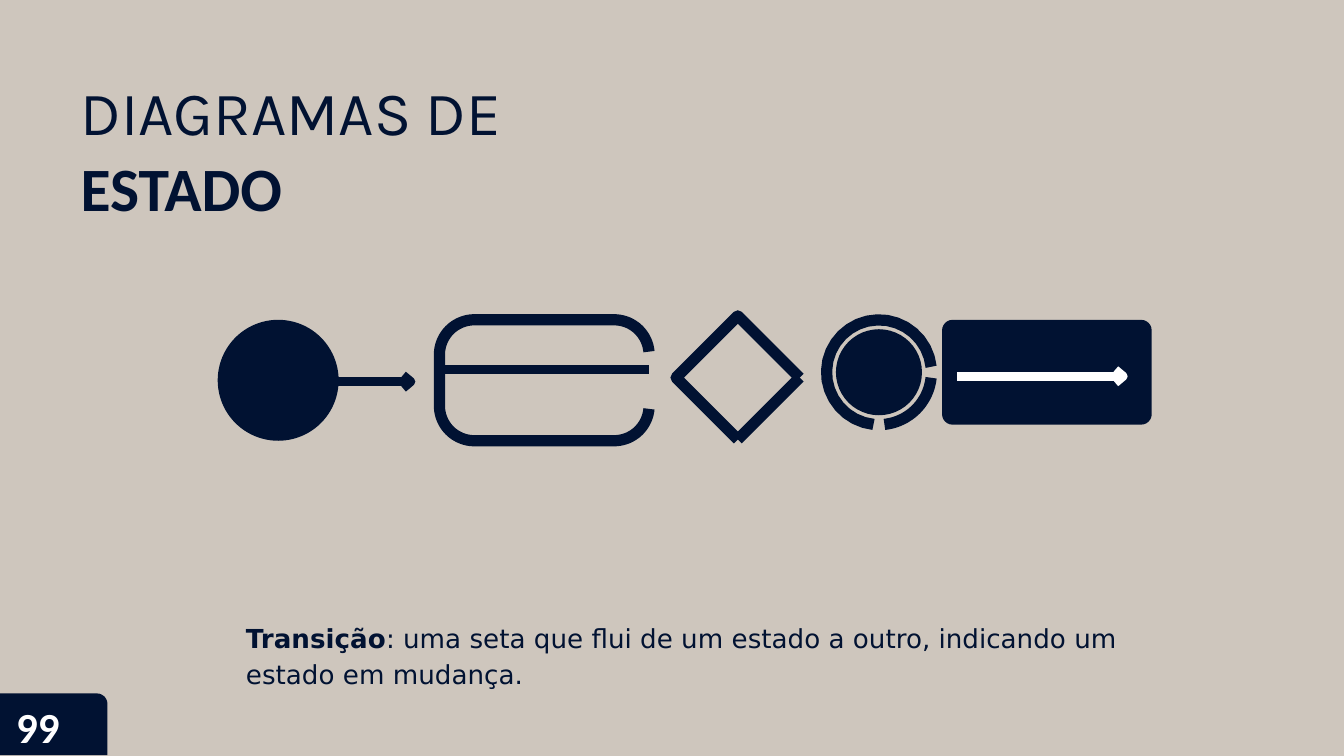
import math
from typing import NamedTuple

import pptx
import pptx.dml.color
import pptx.enum.shapes
import pptx.enum.text
import pptx.oxml.ns
import pptx.util
from lxml import etree

Inches = pptx.util.Inches
Kind = pptx.enum.shapes.MSO_SHAPE
HUES = {"navy": "011232", "sand": "CEC6BD", "white": "FFFFFF"}
THICK, THIN = 6, 4.5
Points = list[tuple[float, float]]


class Solid(NamedTuple):
    kind: int
    left: float
    top: float
    width: float
    height: float
    round: float | None = None


class Stroke(NamedTuple):
    left: float
    right: float
    y: float
    hue: str = "navy"
    arrow: bool = True


class Run(NamedTuple):
    text: str
    bold: bool = False


class Para(NamedTuple):
    runs: list[Run]
    font: str
    size: float
    hue: str = "navy"
    indent: float = 0.01
    before: float = 0
    lines: float = 1.0


def color(name: str) -> pptx.dml.color.RGBColor:
    return pptx.dml.color.RGBColor.from_string(HUES[name])


def add_solid(slide, part: Solid) -> None:
    shape = slide.shapes.add_shape(part.kind, *map(Inches, part[1:5]))
    shape.shadow.inherit = False
    shape.fill.solid()
    shape.fill.fore_color.rgb = color("navy")
    shape.line.fill.background()
    if part.round is not None:
        shape.adjustments[0] = part.round


def set_line(shape, hue: str, weight: float) -> None:
    shape.line.color.rgb = color(hue)
    shape.line.width = pptx.util.Pt(weight)


def add_path(slide, paths: list[Points], hue: str = "navy", weight: float = THICK) -> None:
    """Draw open outlines as one unfilled shape."""
    paths = [[(Inches(x), Inches(y)) for x, y in path] for path in paths]
    pen = slide.shapes.build_freeform(*paths[0][0])
    for i, path in enumerate(paths):
        if i:
            pen.move_to(*path[0])
        pen.add_line_segments(path[1:], close=False)
    shape = pen.convert_to_shape()
    shape.shadow.inherit = False
    shape.fill.background()
    set_line(shape, hue, weight)


def add_stroke(slide, part: Stroke) -> None:
    line = slide.shapes.add_connector(
        pptx.enum.shapes.MSO_CONNECTOR.STRAIGHT,
        *map(Inches, (part.left, part.y, part.right, part.y)))
    set_line(line, part.hue, THIN)
    etree.SubElement(line._element.spPr, pptx.oxml.ns.qn("a:effectLst"))
    if part.arrow:
        back = part.right - 0.06
        head = [(back, part.y - 0.05), (part.right, part.y), (back, part.y + 0.05)]
        add_path(slide, [head], part.hue, THIN)


def arc(x: float, y: float, radius: float, start: int, end: int) -> Points:
    """Points on a clockwise arc, in degrees from the right."""
    steps = 24
    turns = [math.radians(start + (end - start) * i / steps) for i in range(steps + 1)]
    return [(x + radius * math.cos(t), y + radius * math.sin(t)) for t in turns]


def fill_text(shape, paras: list[Para], top: float = 0.01) -> None:
    frame = shape.text_frame
    frame.word_wrap = True
    frame.auto_size = pptx.enum.text.MSO_AUTO_SIZE.SHAPE_TO_FIT_TEXT
    frame.vertical_anchor = pptx.enum.text.MSO_ANCHOR.TOP
    frame.margin_left = frame.margin_right = frame.margin_bottom = 0
    frame.margin_top = Inches(top)
    for i, part in enumerate(paras):
        para = frame.add_paragraph() if i else frame.paragraphs[0]
        props = para._p.get_or_add_pPr()
        props.set("marL", str(Inches(part.indent)))
        props.set("indent", "0")
        para.alignment = pptx.enum.text.PP_ALIGN.LEFT
        para.line_spacing = part.lines
        if part.before:
            para.space_before = pptx.util.Pt(part.before)
        para.font.name = part.font
        para.font.size = pptx.util.Pt(part.size)
        para.font.color.rgb = color(part.hue)
        for item in part.runs:
            run = para.add_run()
            run.text = item.text
            run.font.bold = item.bold


def add_text(slide, box: tuple, para: Para, top: float = 0.01) -> None:
    fill_text(slide.shapes.add_textbox(*map(Inches, box)), [para], top)


def main() -> None:
    # Widescreen page, 16 to 9
    deck = pptx.Presentation()
    deck.slide_width = Inches(10)
    deck.slide_height = Inches(10 * 9 / 16)
    slide = deck.slides.add_slide(deck.slide_layouts[5])
    slide.background.fill.solid()
    slide.background.fill.fore_color.rgb = color("sand")

    # Title
    title = slide.shapes.title
    title.left, title.top = Inches(0.59), Inches(0.54)
    title.width, title.height = Inches(3.73), Inches(1.14)
    fill_text(title, [
        Para([Run("DIAGRAMAS DE")], "Karla", 33),
        Para([Run("ESTADO", True)], "Calibri", 33, before=1),
    ])

    # Start dot, final dot, arrow panel and page tab
    for part in (
        Solid(Kind.OVAL, 1.62, 2.38, 0.9, 0.9),
        Solid(Kind.OVAL, 6.22, 2.45, 0.64, 0.64),
        Solid(Kind.ROUNDED_RECTANGLE, 7.01, 2.38, 1.56, 0.78, 0.1),
        Solid(Kind.ROUND_1_RECTANGLE, 0, 5.16, 0.8, 0.46, 0.17),
    ):
        add_solid(slide, part)

    # State box, open on the right
    left, right, top, low, bend = 3.27, 4.83, 2.38, 3.28, 0.26
    west, east, north, south = left + bend, right - bend, top + bend, low - bend
    add_path(slide, [
        arc(east, south, bend, 5, 90) + arc(west, south, bend, 90, 180)
        + arc(west, north, bend, 180, 270) + arc(east, north, bend, 270, 355)
    ])

    # Decision diamond
    x, y, half = 5.49, 2.81, 0.46
    tip, foot = (x + half, y), (x, y + half)
    add_path(slide, [[tip, foot], [foot, (x - half, y), (x, y - half), tip]])

    # Ring around the final dot, with gaps below and on the right
    add_path(slide, [arc(6.54, 2.77, 0.39, 6, 84), arc(6.54, 2.77, 0.39, 96, 354)])

    # State divider and transition arrows
    for part in (
        Stroke(7.12, 8.36, 2.8, "white"),
        Stroke(3.27, 4.83, 2.75, arrow=False),
        Stroke(2.29, 3.06, 2.84),
    ):
        add_stroke(slide, part)

    # Caption and page number
    add_text(slide, (1.82, 4.58, 6.95, 0.56), Para([
        Run("Transição", True),
        Run(": uma seta que flui de um estado a outro, indicando um estado em mudança."),
    ], "DejaVu Sans", 14, lines=1.17))
    add_text(slide, (0.04, 5.18, 0.61, 0.42),
             Para([Run("99", True)], "Calibri", 23, "white", 0.08), 0.03)

    deck.save("out.pptx")


if __name__ == "__main__":
    main()
